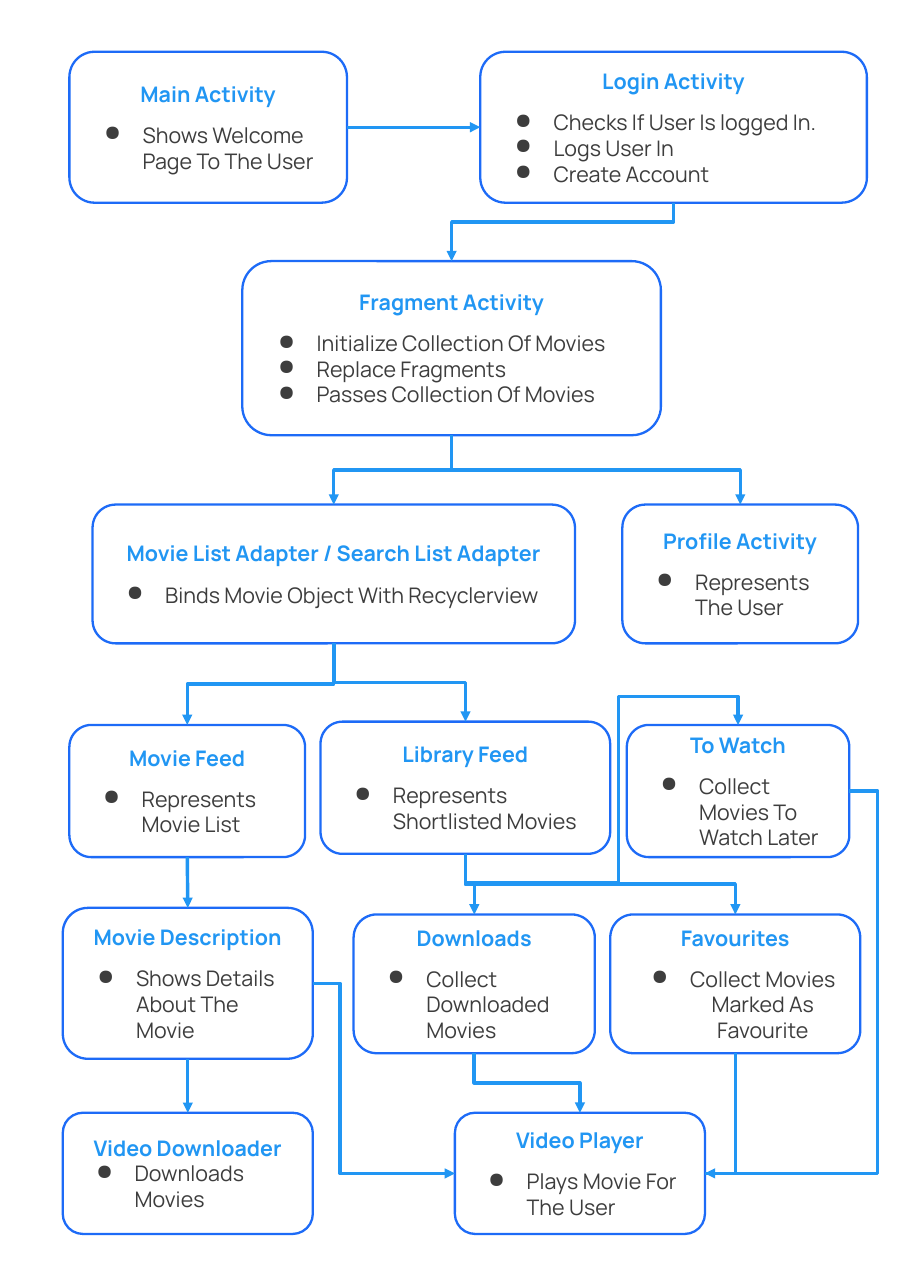
from lxml.etree import SubElement
from pptx import Presentation
from pptx.dml.color import RGBColor as RGB
from pptx.enum.shapes import MSO_CONNECTOR as LINK, MSO_SHAPE as SHAPE
from pptx.enum.text import MSO_ANCHOR as ANCHOR, PP_ALIGN as ALIGN
from pptx.oxml.ns import qn
from pptx.util import Pt

SCALE = 9144  # EMU in one px, 100 px to the inch
COLORS = {"edge": "1D6BF7", "flow": "2196F3", "text": "3D3D3D"}
TOP, LEFT, BOTTOM, RIGHT = range(4)

# name: (left, top, width, height), bullets
BOXES = {
    "Main Activity": ((63, 47, 252, 137), ["Shows Welcome Page To The User"]),
    "Login Activity": ((436, 47, 351, 137), [
        "Checks If User Is logged In.", "Logs User In", "Create Account"]),
    "Fragment Activity": ((220, 237, 380, 158), [
        "Initialize Collection Of Movies", "Replace Fragments",
        "Passes Collection Of Movies"]),
    "Movie List Adapter / Search List Adapter": (
        (84, 458, 438, 126), ["Binds Movie Object With Recyclerview"]),
    "Profile Activity": ((565, 458, 214, 126), ["Represents The User"]),
    "Movie Feed": ((63, 658, 214, 120), ["Represents Movie List"]),
    "Library Feed": ((291, 655, 263, 120), ["Represents Shortlisted Movies"]),
    "To Watch": ((569, 658, 202, 120), ["Collect Movies To Watch Later"]),
    "Movie Description": ((57, 824, 227, 137), ["Shows Details About The Movie"]),
    "Downloads": ((321, 830, 219, 126), ["Collect Downloaded Movies"]),
    "Favourites": ((554, 830, 227, 126), ["Collect Movies Marked As Favourite"]),
    "Video Downloader": ((57, 1010, 227, 110), ["Downloads Movies"]),
    "Video Player": ((413, 1010, 227, 110), ["Plays Movie For The User"]),
}
TIGHT = {"Video Downloader"}
CENTRED = {"Favourites"}
LIST = "Movie List Adapter / Search List Adapter"

# from, side, to, side
STRAIGHT = [
    ("Main Activity", RIGHT, "Login Activity", LEFT),
    ("Movie Feed", BOTTOM, "Movie Description", TOP),
    ("Movie Description", BOTTOM, "Video Downloader", TOP),
]
# from, side, to, side, places of the bends in percent, arrowhead
BENT = [
    ("Login Activity", BOTTOM, "Fragment Activity", TOP, [33.2], True),
    ("Fragment Activity", BOTTOM, LIST, TOP, [50], True),
    ("Fragment Activity", BOTTOM, "Profile Activity", TOP, [50], True),
    (LIST, BOTTOM, "Movie Feed", TOP, [50], True),
    (LIST, BOTTOM, "Library Feed", TOP, [50], True),
    ("Library Feed", BOTTOM, "To Watch", TOP, [-22.1, 56.1, 122.1], True),
    ("Library Feed", BOTTOM, "Favourites", TOP, [50], True),
    ("Library Feed", BOTTOM, "Downloads", TOP, [50], True),
    ("Movie Description", RIGHT, "Video Player", LEFT, [19.1], True),
    ("Downloads", BOTTOM, "Video Player", TOP, [50], True),
    ("To Watch", RIGHT, "Video Player", RIGHT, [-19.8], True),
    ("Favourites", BOTTOM, "Video Player", RIGHT, [], False),
]


def px(n):
    return round(n * SCALE)


def rgb(name):
    return RGB.from_string(COLORS[name])


def write(para, text, color, bold):
    run = para.add_run()
    run.text = text
    style = {"name": "Manrope", "size": Pt(14), "bold": bold}
    for key, value in style.items():
        setattr(run.font, key, value)
    run.font.color.rgb = rgb(color)


def bullet(para):
    props = para._p.get_or_add_pPr()
    props.set("marL", str(px(50)))
    props.set("indent", str(px(-35)))
    tint = SubElement(props, qn("a:buClr"))
    SubElement(tint, qn("a:srgbClr"), val=COLORS["text"])
    SubElement(props, qn("a:buChar"), char="●")


def card(slide, name, box, items):
    """Draw a rounded box with a title and its bullets."""
    shape = slide.shapes.add_shape(SHAPE.ROUNDED_RECTANGLE, *map(px, box))
    shape.shadow.inherit = False
    shape.fill.background()
    shape.line.color.rgb = rgb("edge")
    shape.line.width = Pt(1.5)
    frame = shape.text_frame
    style = {"word_wrap": True, "vertical_anchor": ANCHOR.MIDDLE}
    style |= {f"margin_{side}": px(10)
              for side in ("left", "top", "right", "bottom")}
    for key, value in style.items():
        setattr(frame, key, value)
    head = frame.paragraphs[0]
    head.alignment = ALIGN.CENTER
    write(head, name, "flow", True)
    for i, item in enumerate(items):
        para = frame.add_paragraph()
        bullet(para)
        para.alignment = ALIGN.CENTER if name in CENTRED else ALIGN.LEFT
        para.space_before = Pt(10 if i == 0 and name not in TIGHT else 0)
        write(para, item, "text", False)
    return shape


def join(slide, cards, kind, src, out, dst, into, arrow=True):
    """Link two cards at the middles of the given sides."""
    link = slide.shapes.add_connector(kind, 0, 0, 0, 0)
    link.begin_connect(cards[src], out)
    link.end_connect(cards[dst], into)
    link.line.color.rgb = rgb("flow")
    link.line.width = Pt(2.25)
    if arrow:
        SubElement(link.line._get_or_add_ln(), qn("a:tailEnd"), type="triangle")
    SubElement(link._element.spPr, qn("a:effectLst"))
    return link


def bend(link, out, stops):
    """Turn an elbow to leave by the given side and set its bends."""
    x, y = link.begin_x, link.begin_y
    dx, dy = link.end_x - x, link.end_y - y
    wide, high = abs(dx), abs(dy)
    turn, flip = 0, dx < 0
    if out == BOTTOM:
        wide, high = high, wide
        turn, flip = (90 if dx < 0 else 270), dx >= 0 and dy > 0
    place = {"left": x + (dx - wide) // 2, "top": y + (dy - high) // 2,
             "width": wide, "height": high}
    for key, value in place.items():
        setattr(link, key, value)
    props = link._element.spPr
    form = props.find(qn("a:xfrm"))
    for key, value in {"rot": turn * 60000, "flipH": int(flip), "flipV": 0}.items():
        form.set(key, str(value))
    geom = props.find(qn("a:prstGeom"))
    geom.set("prst", f"bentConnector{len(stops) + 2}")
    guides = geom.find(qn("a:avLst"))
    for i, stop in enumerate(stops, 1):
        SubElement(guides, qn("a:gd"), name=f"adj{i}",
                   fmla=f"val {round(stop * 1000)}")


def chart(slide):
    """Draw the whole flow of activities."""
    cards = {name: card(slide, name, *rest) for name, rest in BOXES.items()}
    for ends in STRAIGHT:
        join(slide, cards, LINK.STRAIGHT, *ends)
    for *ends, stops, arrow in BENT:
        link = join(slide, cards, LINK.ELBOW, *ends, arrow)
        bend(link, ends[1], stops)


def main():
    deck = Presentation()
    deck.slide_width, deck.slide_height = px(827), px(1169)
    chart(deck.slides.add_slide(deck.slide_layouts[6]))
    deck.save("out.pptx")


if __name__ == "__main__":
    main()
